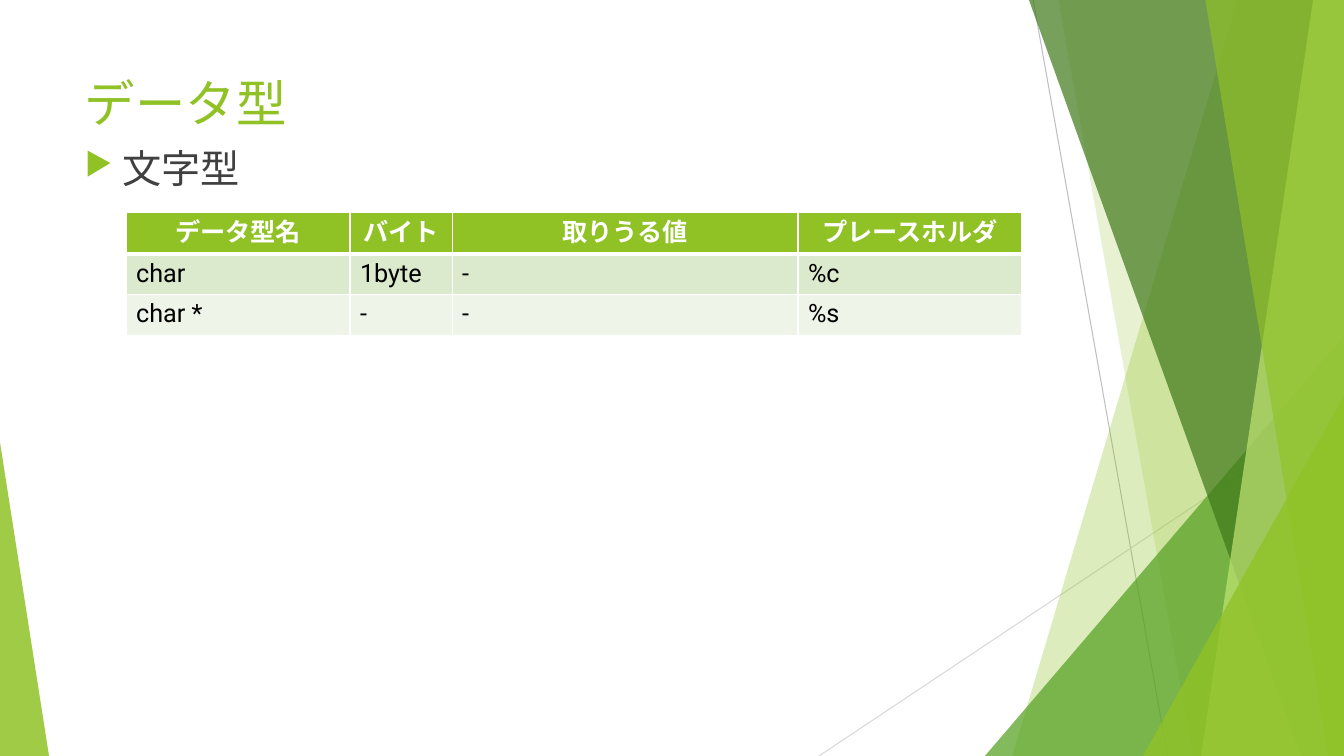
"""Build the slide on character data types, with its faceted green backdrop."""
from dataclasses import dataclass
from typing import Any, NamedTuple

from pptx import Presentation
from pptx import util as u
from pptx.dml.color import RGBColor
from pptx.enum import lang, shapes, text
from pptx.oxml import ns, xmlchemy

Pt = u.Pt
WIDTH, HEIGHT = 960, 540


@dataclass(frozen=True)
class Theme:
    font: str = "Roboto"
    green: str = "90C226"
    leaf: str = "54A021"
    forest: str = "3F7819"
    lime: str = "C0E474"
    body: str = "404040"
    black: str = "000000"
    white: str = "FFFFFF"
    stripes: tuple[str, str] = ("DBE9CD", "EEF4E8")
    line: str = "BFBFBF"
    faint_line: str = "D9D9D9"
    title_size: int = 36
    body_size: int = 28
    table_size: int = 18


class Ray(NamedTuple):
    start: tuple[float, float]
    end: tuple[float, float]
    color: str


class Band(NamedTuple):
    top_x: float
    foot_x: float
    color: str
    alpha: int


class Wedge(NamedTuple):
    left: float
    top: float
    width: float
    apex: float
    color: str
    alpha: int


class Column(NamedTuple):
    width: float
    header: str
    values: tuple[str, ...]


T = Theme()
RAYS = (
    Ray((738, 0), (834, HEIGHT), T.line),
    Ray((WIDTH, 290), (585, HEIGHT), T.faint_line),
)
FACETS = (
    Band(884, 723, T.green, 30),
    Band(756, 852, T.green, 20),
    Wedge(703.5, 240, 256.5, 1, T.leaf, 72),
    Band(735, 929.5, T.forest, 70),
    Band(938, 858, T.lime, 70),
    Band(861, 949, T.green, 65),
    Wedge(816.5, 283, 143.5, 1, T.green, 80),
    Wedge(0, 316, 35, 0, T.green, 85),
)
COLUMNS = (
    Column(160, "データ型名", ("char", "char *")),
    Column(73, "バイト", ("1byte", "-")),
    Column(247, "取りうる値", ("-", "-")),
    Column(160, "プレースホルダ", ("%c", "%s")),
)
ROW_HEIGHT = 29.25


def rgb(color: str) -> RGBColor:
    return RGBColor.from_string(color)


def add_xml(parent: Any, tag: str, **attrs: Any) -> Any:
    child = xmlchemy.OxmlElement(tag)
    for name, value in attrs.items():
        child.set(name, str(value))
    parent.append(child)
    return child


def write(tf: Any, s: str, *, size: float, color: str, bold: bool = False,
          align: Any = text.PP_ALIGN.LEFT, before: float = 0) -> Any:
    p = tf.paragraphs[0]
    p.alignment, p.space_before = align, Pt(before)
    r = p.add_run()
    r.text = s
    r.font.size, r.font.bold, r.font.name = Pt(size), bold, T.font
    r.font.color.rgb = rgb(color)
    r.font.language_id = lang.MSO_LANGUAGE_ID.JAPANESE
    add_xml(r.font._element, "a:ea", typeface=T.font)
    return p


def add_text(s: Any, left: float, top: float, width: float, height: float) -> Any:
    tf = s.shapes.add_textbox(Pt(left), Pt(top), Pt(width), Pt(height)).text_frame
    tf.word_wrap = True
    tf.vertical_anchor = text.MSO_ANCHOR.TOP
    return tf


def add_bullet(p: Any, indent: float) -> None:
    pPr = p._p.get_or_add_pPr()
    pPr.set("marL", str(Pt(indent)))
    pPr.set("indent", str(-Pt(indent)))
    add_xml(add_xml(pPr, "a:buClr"), "a:srgbClr", val=T.green)
    add_xml(pPr, "a:buSzPct", val=80000)
    add_xml(pPr, "a:buChar", char="▶")


def add_ray(s: Any, ray: Ray) -> None:
    ends = [Pt(n) for n in ray.start + ray.end]
    cx = s.shapes.add_connector(shapes.MSO_CONNECTOR.STRAIGHT, *ends)
    cx.line.color.rgb, cx.line.width = rgb(ray.color), Pt(0.75)
    add_xml(cx._element.spPr, "a:effectLst")


def add_facet(s: Any, facet: Band | Wedge) -> None:
    if isinstance(facet, Band):
        fb = s.shapes.build_freeform(Pt(facet.top_x), 0)
        corners = ((WIDTH, 0), (WIDTH, HEIGHT), (facet.foot_x, HEIGHT))
        fb.add_line_segments([(Pt(x), Pt(y)) for x, y in corners])
        sp = fb.convert_to_shape()
    else:
        sp = s.shapes.add_shape(
            shapes.MSO_SHAPE.ISOSCELES_TRIANGLE, Pt(facet.left), Pt(facet.top),
            Pt(facet.width), Pt(HEIGHT - facet.top))
        sp.adjustments[0] = facet.apex
    sp.shadow.inherit = False
    sp.line.fill.background()
    sp.fill.solid()
    sp.fill.fore_color.rgb = rgb(facet.color)
    color = sp._element.spPr.find(ns.qn("a:solidFill")).find(ns.qn("a:srgbClr"))
    add_xml(color, "a:alpha", val=facet.alpha * 1000)


def style_cell(cell: Any, fill: str, top: float, bottom: float) -> None:
    tcPr = cell._tc.get_or_add_tcPr()
    for side, width in (("L", 1), ("R", 1), ("T", top), ("B", bottom)):
        ln = add_xml(tcPr, f"a:ln{side}", w=Pt(width))
        add_xml(add_xml(ln, "a:solidFill"), "a:srgbClr", val=T.white)
    cell.fill.solid()
    cell.fill.fore_color.rgb = rgb(fill)


def add_type_table(s: Any, left: float, top: float) -> None:
    count = 1 + len(COLUMNS[0].values)
    width = sum(c.width for c in COLUMNS)
    table = s.shapes.add_table(count, len(COLUMNS), Pt(left), Pt(top),
                               Pt(width), Pt(ROW_HEIGHT * count)).table
    for row in table.rows:
        row.height = Pt(ROW_HEIGHT)
    for j, column in enumerate(COLUMNS):
        table.columns[j].width = Pt(column.width)
        head = table.cell(0, j)
        style_cell(head, T.green, 1, 3)
        write(head.text_frame, column.header, size=T.table_size, color=T.white,
              bold=True, align=text.PP_ALIGN.CENTER)
        for i, value in enumerate(column.values):
            cell = table.cell(i + 1, j)
            style_cell(cell, T.stripes[i % 2], 1 if i else 3, 1)
            write(cell.text_frame, value, size=T.table_size, color=T.black)


def main() -> None:
    prs = Presentation()
    prs.slide_width, prs.slide_height = Pt(WIDTH), Pt(HEIGHT)
    s = prs.slides.add_slide(prs.slide_layouts[6])
    for ray in RAYS:
        add_ray(s, ray)
    for facet in FACETS:
        add_facet(s, facet)
    write(add_text(s, 53.5, 48, 677, 104), "データ型", size=T.title_size, color=T.green)
    p = write(add_text(s, 53.5, 99.5, 677, 376.5), "文字型", size=T.body_size,
              color=T.body, before=10)
    add_bullet(p, 27)
    add_type_table(s, 90, 152)
    prs.save("out.pptx")


main()
